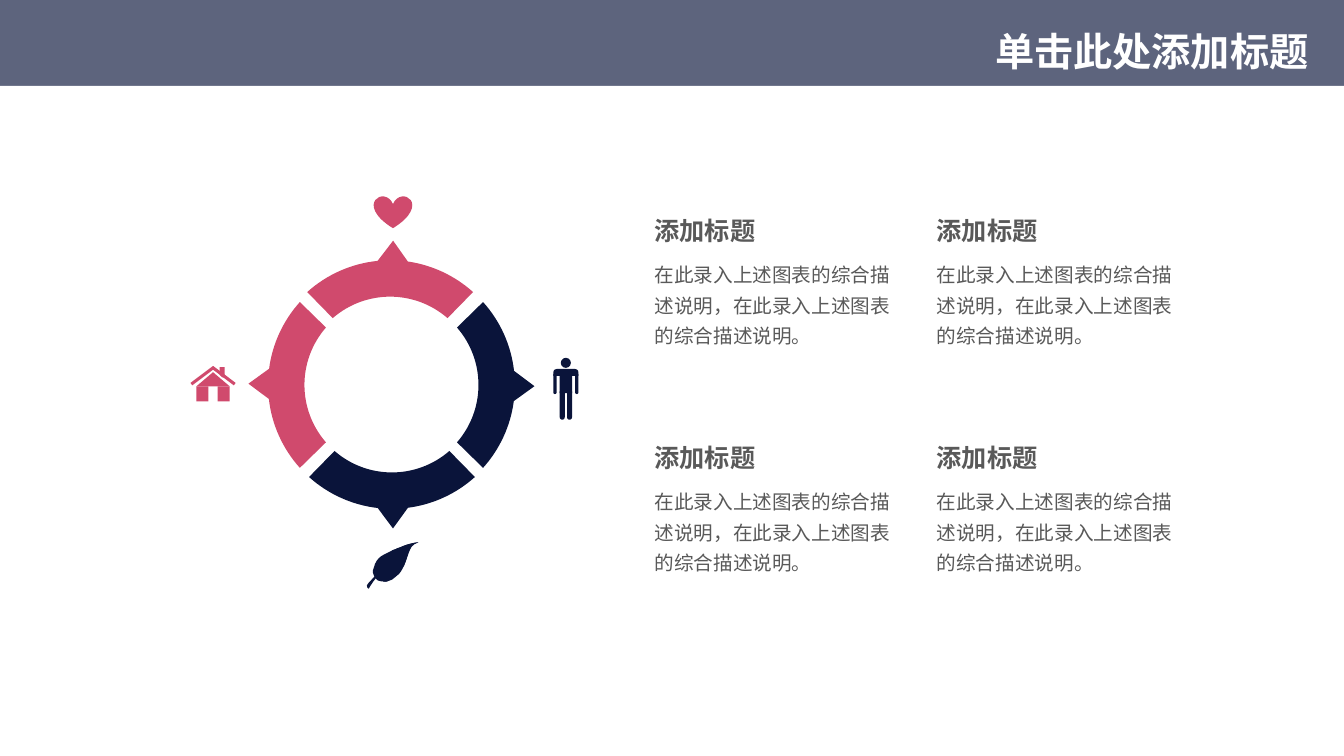
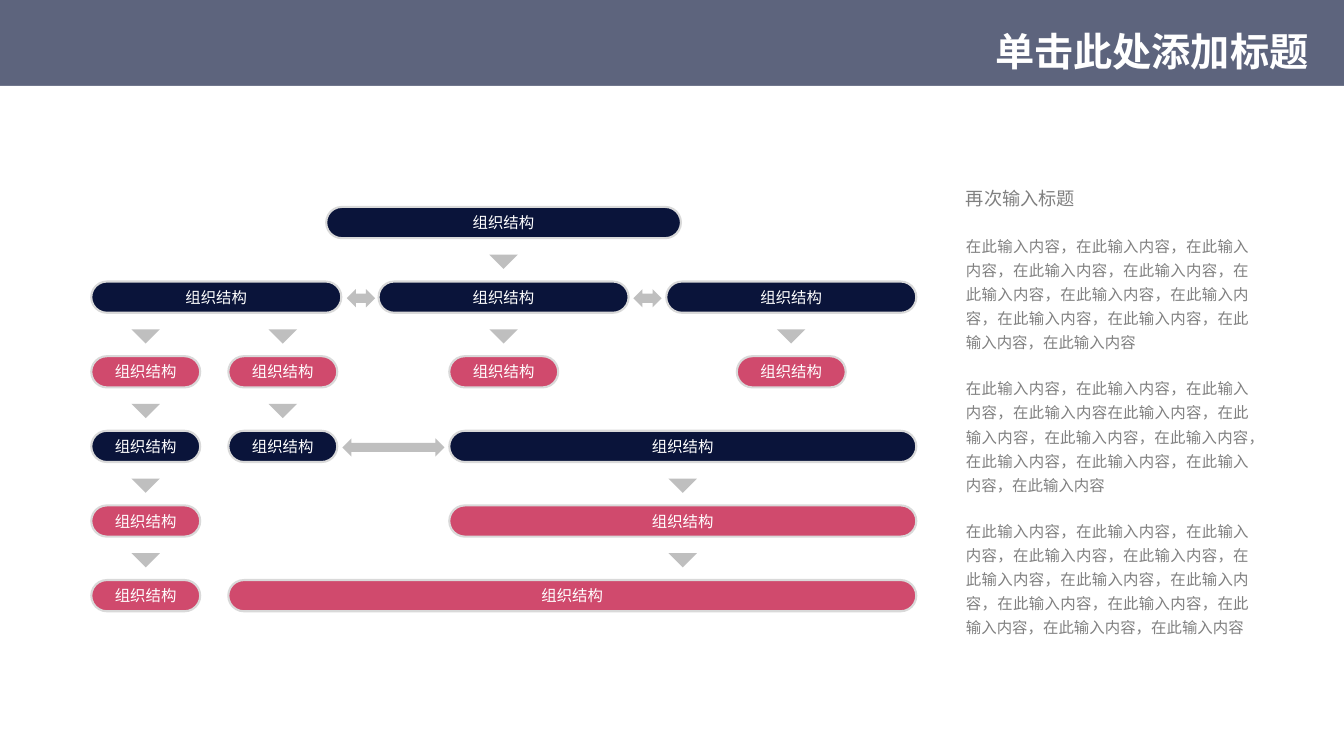
from math import cos, radians, sin, tan

from lxml import etree
from pptx import Presentation
from pptx.dml.color import RGBColor
from pptx.enum.shapes import MSO_SHAPE
from pptx.enum.text import MSO_ANCHOR, MSO_AUTO_SIZE, PP_ALIGN
from pptx.oxml.ns import qn
from pptx.util import Pt

RECT, ELLIPSE, HEART = MSO_SHAPE.RECTANGLE, MSO_SHAPE.OVAL, MSO_SHAPE.HEART
PILL, ROUND_ENDS = MSO_SHAPE.ROUNDED_RECTANGLE, MSO_SHAPE.ROUND_2_SAME_RECTANGLE
TRIANGLE, CORNER = MSO_SHAPE.ISOSCELES_TRIANGLE, MSO_SHAPE.RIGHT_TRIANGLE
SNIPPED, TWO_WAY = MSO_SHAPE.SNIP_1_RECTANGLE, MSO_SHAPE.LEFT_RIGHT_ARROW
TOP, MIDDLE = MSO_ANCHOR.TOP, MSO_ANCHOR.MIDDLE
LEFT, CENTER, RIGHT, JUSTIFY = PP_ALIGN.LEFT, PP_ALIGN.CENTER, PP_ALIGN.RIGHT, PP_ALIGN.JUSTIFY
GROW = MSO_AUTO_SIZE.SHAPE_TO_FIT_TEXT

WIDTH, HEIGHT, BAND_HEIGHT = 960, 540, 61.4
TITLE_ONLY = 5
COLORS = {
    "navy": "0A143A", "rose": "D04A6D", "white": "FFFFFF", "text": "595959",
    "muted": "808080", "edge": "D9D9D9", "arrow": "BFBFBF",
}
CJK_FONT, TITLE_FONT = "Noto Sans CJK SC", "Montserrat"

LEAF_PARTS = [
    [(267.1, 411.1),
     (266.4, 409.7, 265.7, 408.2, 267.1, 405.4),
     (267.8, 401.8, 270, 398.9, 272.2, 397.4),
     (274.3, 396, 281.5, 392.4, 285.8, 391),
     (290.2, 388.8, 296.6, 387.4, 298.1, 387.4),
     (299.5, 387.4, 295.9, 388.1, 294.5, 389.5),
     (293.8, 390.2, 293.8, 390.2, 292.3, 392.4),
     (291.6, 395.3, 290.2, 400.3, 288.7, 403.9),
     (286.6, 406.8, 285.1, 409.7, 283, 411.1),
     (280.8, 413.3, 277.9, 414.7, 275.8, 415.4),
     (273.6, 415.4, 271.4, 415.4, 270, 414.7),
     (268.6, 414, 267.8, 412.6, 267.1, 411.1)],
    [(269.3, 411.1),
     (269.3, 412.6, 266.4, 415.4, 265.7, 416.9),
     (264.2, 418.3, 264.2, 419.8, 263.5, 420.5),
     (262.8, 420.5, 262.1, 419.8, 262.1, 418.3),
     (262.1, 417.6, 263.5, 416.2, 264.2, 415.4),
     (265.7, 414, 267.8, 411.1, 268.6, 411.1),
     (269.3, 410.4, 270, 410.4, 269.3, 411.1)],
    [(298.8, 387.4),
     (300.2, 387.4, 295.9, 388.1, 295.2, 389.5),
     (294.5, 390.2, 293.8, 390.2, 293, 392.4),
     (291.6, 395.3, 290.2, 400.3, 288.7, 403.9),
     (287.3, 406.8, 285.8, 409.7, 283.7, 411.1),
     (280.1, 414), (276.5, 415.4), (273.6, 415.4), (280.1, 393.1), (282.2, 392.4),
     (283.7, 391.7, 285.1, 391, 285.8, 391),
     (290.2, 388.8, 297.4, 387.4, 298.8, 387.4)],
    [(267.8, 411.1),
     (269.3, 409.7, 272.9, 405.4, 275, 403.2),
     (277.2, 401, 281.5, 398.2, 281.5, 398.2),
     (282.2, 397.4, 278.6, 400.3, 277.2, 402.5),
     (275.8, 403.9, 272.9, 406.8, 271.4, 408.2),
     (270, 410.4, 269.3, 411.8, 268.6, 411.8),
     (267.8, 412.6, 267.1, 412.6, 267.8, 411.1)],
]


def color(name):
    return RGBColor.from_string(COLORS[name])


class Deck:
    def __init__(self):
        self.deck = Presentation()
        self.deck.slide_width, self.deck.slide_height = Pt(WIDTH), Pt(HEIGHT)
        self.layout = self.deck.slide_layouts[TITLE_ONLY]
        self.page = None

    def add_page(self, title):
        first = self.page is None
        self.page = self.deck.slides.add_slide(self.layout)
        if first:
            self.add_background()
        box = self.page.shapes.title
        box.left, box.top, box.width, box.height = Pt(113.8), Pt(15.8), Pt(828), Pt(45.4)
        box.text_frame.text = title
        box.text_frame.vertical_anchor = MIDDLE
        para = box.text_frame.paragraphs[0]
        para.alignment, para.line_spacing = RIGHT, 0.9
        self.style(para, 28, "white", bold=True, font=TITLE_FONT)

    def add_background(self):
        """Move the tinted band and the white body to the shared layout."""
        tint = self.shape(RECT, 0, 0, WIDTH, HEIGHT, "navy")
        shade = tint.element.spPr.find(qn("a:solidFill"))[0]
        etree.SubElement(shade, qn("a:alpha")).set("val", "66000")
        body = self.shape(RECT, 0, BAND_HEIGHT, WIDTH, HEIGHT - BAND_HEIGHT, "white")
        for position, part in enumerate((tint, body), start=2):
            self.layout.shapes.element.insert(position, part.element)

    def style(self, para, size, fill, bold=False, font=CJK_FONT):
        for span in para.runs:
            span.font.size, span.font.bold, span.font.name = Pt(size), bold, font
            span.font.color.rgb = color(fill)
            properties = span.font._element
            properties.set("lang", "zh-CN")
            etree.SubElement(properties, qn("a:ea")).set("typeface", CJK_FONT)

    def paint(self, shape, fill):
        shape.shadow.inherit = False
        shape.fill.solid()
        shape.fill.fore_color.rgb = color(fill)
        shape.line.fill.background()
        return shape

    def shape(self, kind, x, y, width, height, fill, turn=0, adjust=(), group=None):
        parent = group or self.page
        shape = parent.shapes.add_shape(kind, Pt(x), Pt(y), Pt(width), Pt(height))
        for index, value in enumerate(adjust):
            shape.adjustments[index] = value
        shape.rotation = turn
        return self.paint(shape, fill)

    def outline(self, steps, fill, group=None):
        """Closed outline; a step of two numbers is a line, one of six a cubic curve."""
        parent = group or self.page
        steps = [[round(value * 100) for value in step] for step in steps]
        ends = [step[-2:] for step in steps]
        left, top = (min(values) for values in zip(*ends))
        builder = parent.shapes.build_freeform(*ends[0], scale=Pt(1) / 100)
        builder.add_line_segments(ends[1:], close=False)
        shape = builder.convert_to_shape()
        route = shape.element.find(".//" + qn("a:path"))
        for step, segment in zip(steps, list(route)):
            if len(step) == 6:
                curve = etree.Element(qn("a:cubicBezTo"))
                for x, y in zip(step[::2], step[1::2]):
                    point = etree.SubElement(curve, qn("a:pt"))
                    point.set("x", str(x - left))
                    point.set("y", str(y - top))
                route.replace(segment, curve)
        etree.SubElement(route, qn("a:close"))
        return self.paint(shape, fill)

    def text(self, x, y, width, height, items, fill, align=LEFT, bold=False,
             spacing=1.0, gap=0, inset=(7.2, 3.6), wrap=True):
        """Text box with one paragraph for each (text, size) item."""
        box = self.page.shapes.add_textbox(Pt(x), Pt(y), Pt(width), Pt(height))
        frame = box.text_frame
        frame.word_wrap, frame.vertical_anchor, frame.auto_size = wrap, TOP, GROW
        frame.margin_left = frame.margin_right = Pt(inset[0])
        frame.margin_top = frame.margin_bottom = Pt(inset[1])
        frame.text = "\n".join(text for text, _ in items)
        for index, (para, (_, size)) in enumerate(zip(frame.paragraphs, items)):
            para.alignment, para.line_spacing = align, spacing
            para.space_before = Pt(gap if index else 0)
            self.style(para, size, fill, bold)

    def pill(self, x, y, width, height, label, fill):
        pill = self.shape(PILL, x, y, width, height, fill, adjust=[0.5])
        pill.line.color.rgb, pill.line.width = color("edge"), Pt(1.5)
        frame = pill.text_frame
        frame.margin_left = frame.margin_right = Pt(9.4)
        frame.margin_top = frame.margin_bottom = Pt(5)
        frame.vertical_anchor = MIDDLE
        frame.text = label
        frame.paragraphs[0].alignment = CENTER
        self.style(frame.paragraphs[0], 11, "white")

    def down_arrow(self, center, middle):
        side = 14.4
        self.shape(CORNER, center - side / 2, middle - side / 2, side, side, "arrow", turn=315)

    def ring_segment(self, center_x, center_y, direction, tilt, fill):
        """Ring quarter with a pointer, both angles clockwise from the top."""
        outer, inner, tip = 88.5, 62.5, 102.5

        def at(radius, angle):
            turn = radians(direction + angle)
            return center_x + radius * sin(turn), center_y - radius * cos(turn)

        def arc(radius, start, end):
            reach = 4 / 3 * tan(radians(end - start) / 4)
            (sx, sy), (ex, ey) = at(radius, start), at(radius, end)
            return (sx - reach * (sy - center_y), sy + reach * (sx - center_x),
                    ex + reach * (ey - center_y), ey - reach * (ex - center_x), ex, ey)

        self.outline([at(outer, -42), arc(outer, -42, tilt - 7), at(tip, tilt),
                      at(outer, tilt + 7), arc(outer, tilt + 7, 42),
                      at(inner, 41), arc(inner, 41, -41)], fill)

    def person(self, center, top):
        group = self.page.shapes.add_group_shape()

        def part(kind, offset, y, width, height, adjust=()):
            self.shape(kind, center + offset - width / 2, top + y, width, height,
                       "navy", adjust=adjust, group=group)

        part(ELLIPSE, 0, 0, 7.2, 7.2)
        part(ROUND_ENDS, 0, 8, 18, 5, (0.5, 0))
        part(RECT, 0, 13, 9, 12.2)
        for side in (-1, 1):
            part(ROUND_ENDS, side * 2.6, 24, 3.6, 20.2, (0, 0.5))
            part(ROUND_ENDS, side * 7.8, 11.5, 2.4, 14.4, (0, 0.5))

    def house(self, center, top):
        group = self.page.shapes.add_group_shape()

        def part(kind, offset, y, width, height, turn=0, adjust=()):
            self.shape(kind, center + offset - width / 2, top + y, width, height,
                       "rose", turn, adjust, group)

        for side in (-1, 1):
            part(RECT, side * 7.5, 5, 20, 2.2, side * 37 % 360)
            part(RECT, side * 7.6, 13.7, 8.6, 10.8)
        part(TRIANGLE, 0, 3.6, 23.8, 10.1)
        part(SNIPPED, 6.5, 0, 3.6, 7.2, 180, [0.5])

    def leaf(self):
        group = self.page.shapes.add_group_shape()
        for steps in LEAF_PARTS:
            self.outline(steps, "navy", group)


def build_ring_page(deck):
    deck.add_page("单击此处添加标题")
    deck.ring_segment(279.3, 275, 90, 0.5, "navy")
    deck.ring_segment(280, 275, 270, 0.5, "rose")
    deck.ring_segment(280, 275, 180, -0.4, "navy")
    deck.ring_segment(278.7, 274.4, 0, 1.2, "rose")
    deck.shape(HEART, 267, 140, 27.4, 23, "rose")
    deck.person(404.2, 255.6)
    deck.house(152.2, 262.3)
    deck.leaf()
    summary = "在此录入上述图表的综合描述说明，在此录入上述图表的综合描述说明。"
    for y in (150.6, 312.7):
        for x in (460.4, 662):
            deck.text(x, y, 87, 28.8, [("添加标题", 18)], "text", bold=True, wrap=False)
            deck.text(x, y + 28.8, 189.5, 73.4, [(summary, 14)], "text", spacing=1.3)


def build_organization_page(deck):
    deck.add_page("单击此处添加标题")
    first, second, third, right = 65.2, 163.1, 320.9, 654.5
    small, wide, height = 77.8, 178.6, 22.3
    middle = 359.7
    last = right - wide / 2
    span_center = (third + right) / 2
    rows = [147.8 + 53.3 * index for index in range(6)]
    pills = [
        (0, middle - 126.7, 253.4, "navy"),
        (1, first, wide, "navy"),
        (1, middle - wide / 2, wide, "navy"),
        (1, right - wide, wide, "navy"),
        (2, first, small, "rose"),
        (2, second, small, "rose"),
        (2, third, small, "rose"),
        (2, last - small / 2, small, "rose"),
        (3, first, small, "navy"),
        (3, second, small, "navy"),
        (3, third, right - third, "navy"),
        (4, first, small, "rose"),
        (4, third, right - third, "rose"),
        (5, first, small, "rose"),
        (5, second, right - second, "rose"),
    ]
    for row, x, width, fill in pills:
        deck.pill(x, rows[row], width, height, "组织结构", fill)

    first_center, second_center = first + small / 2, second + small / 2
    arrows = [
        (middle,),
        (first_center, second_center, middle, last),
        (first_center, second_center),
        (first_center, span_center),
        (first_center, span_center),
    ]
    for row, centers in zip(rows, arrows):
        for center in centers:
            deck.down_arrow(center, row + 34.1)
    for row, x, width in ((1, 247.7, 20.2), (1, 452.4, 20.2), (3, 244.6, 72.9)):
        deck.shape(TWO_WAY, x, rows[row] + 5.4, width, 13, "arrow")

    phrase = "在此输入内容"
    paragraphs = [
        "，".join([phrase] * 12),
        "，".join([phrase] * 4) + "，".join([phrase] * 8),
        "，".join([phrase] * 13),
    ]
    deck.text(680.6, 124.2, 221, 338.4,
              [("再次输入标题", 13)] + [(text, 11) for text in paragraphs],
              "muted", align=JUSTIFY, spacing=1.3, gap=16, inset=(9.4, 5))


def main():
    deck = Deck()
    build_ring_page(deck)
    build_organization_page(deck)
    deck.deck.save("out.pptx")


if __name__ == "__main__":
    main()
